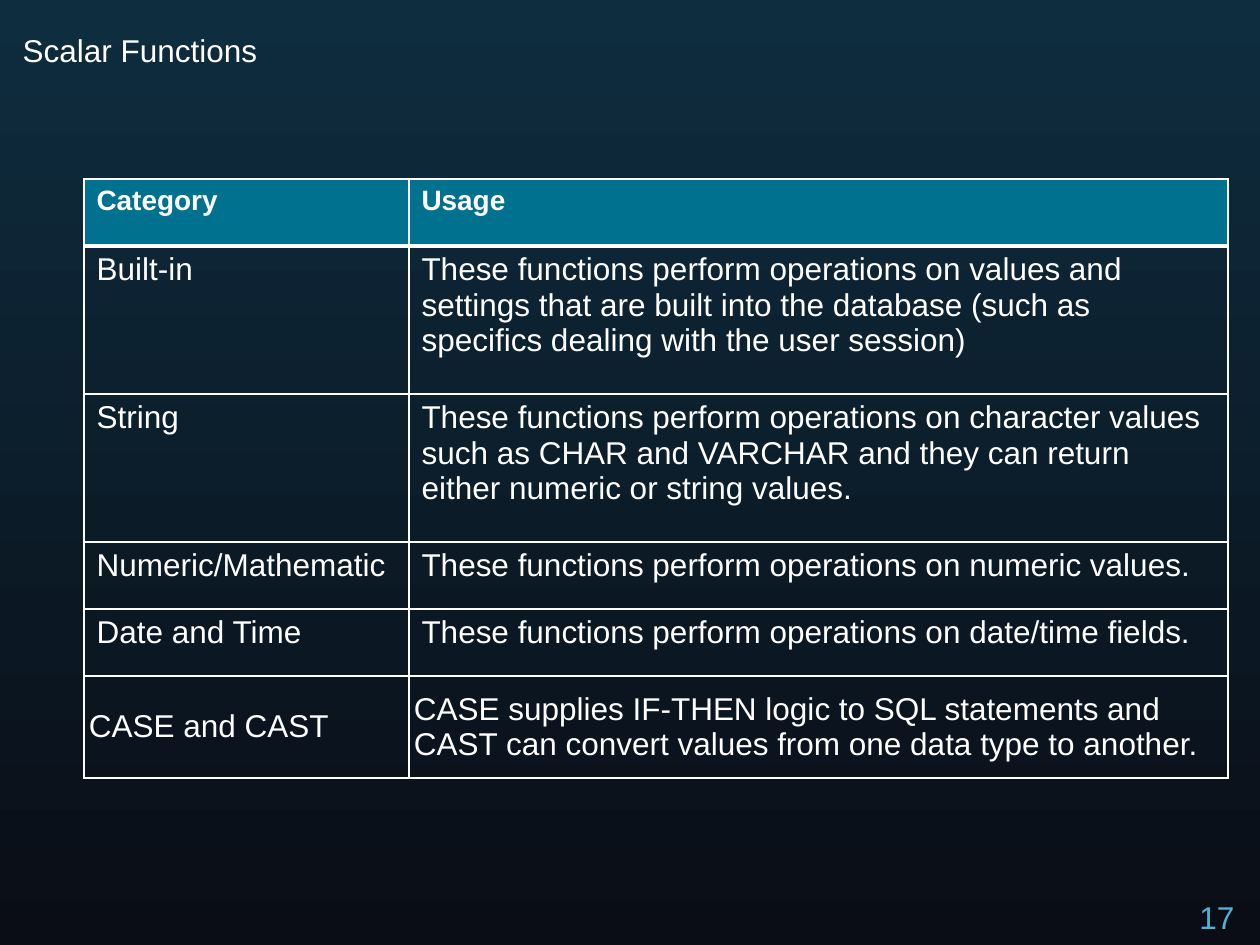
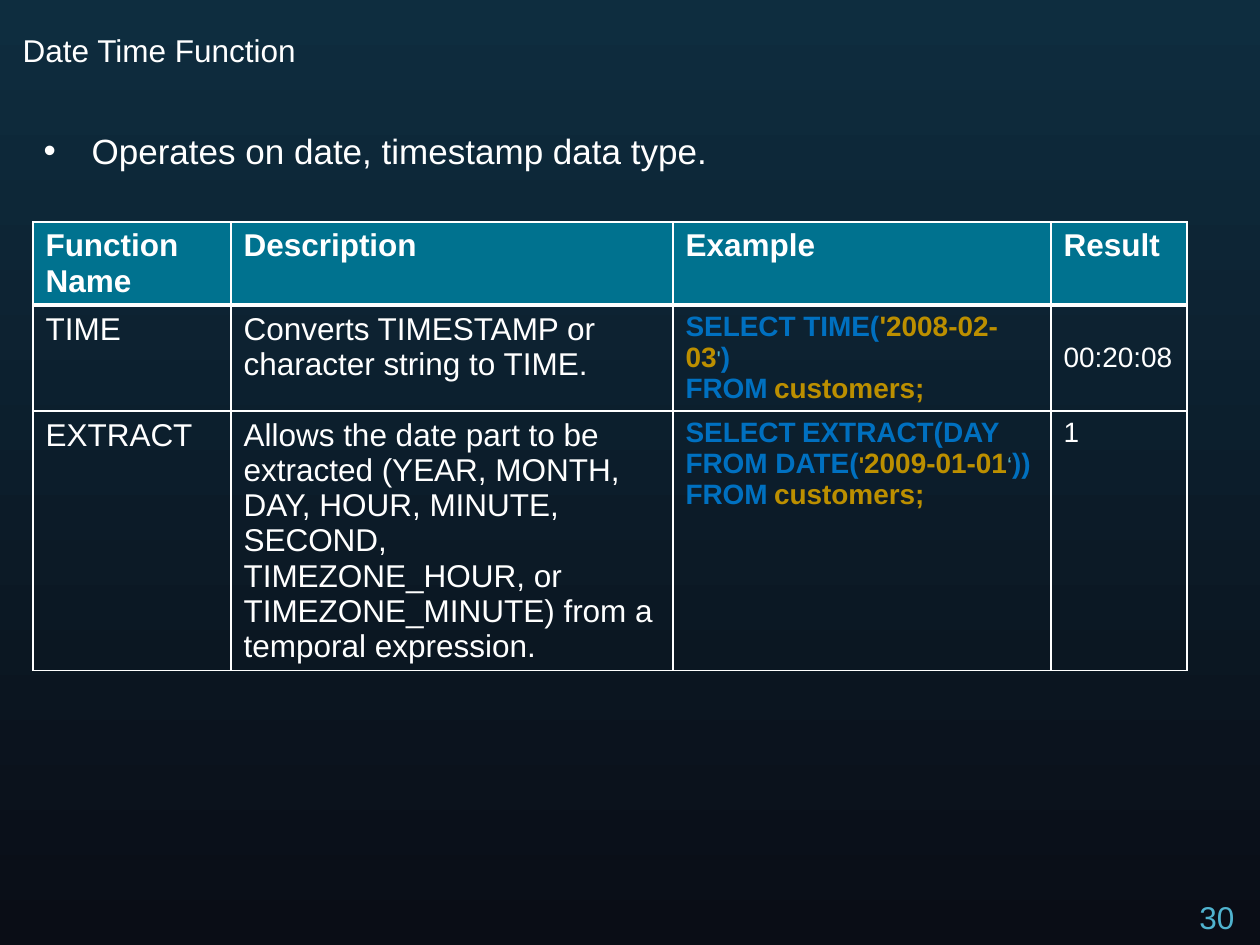
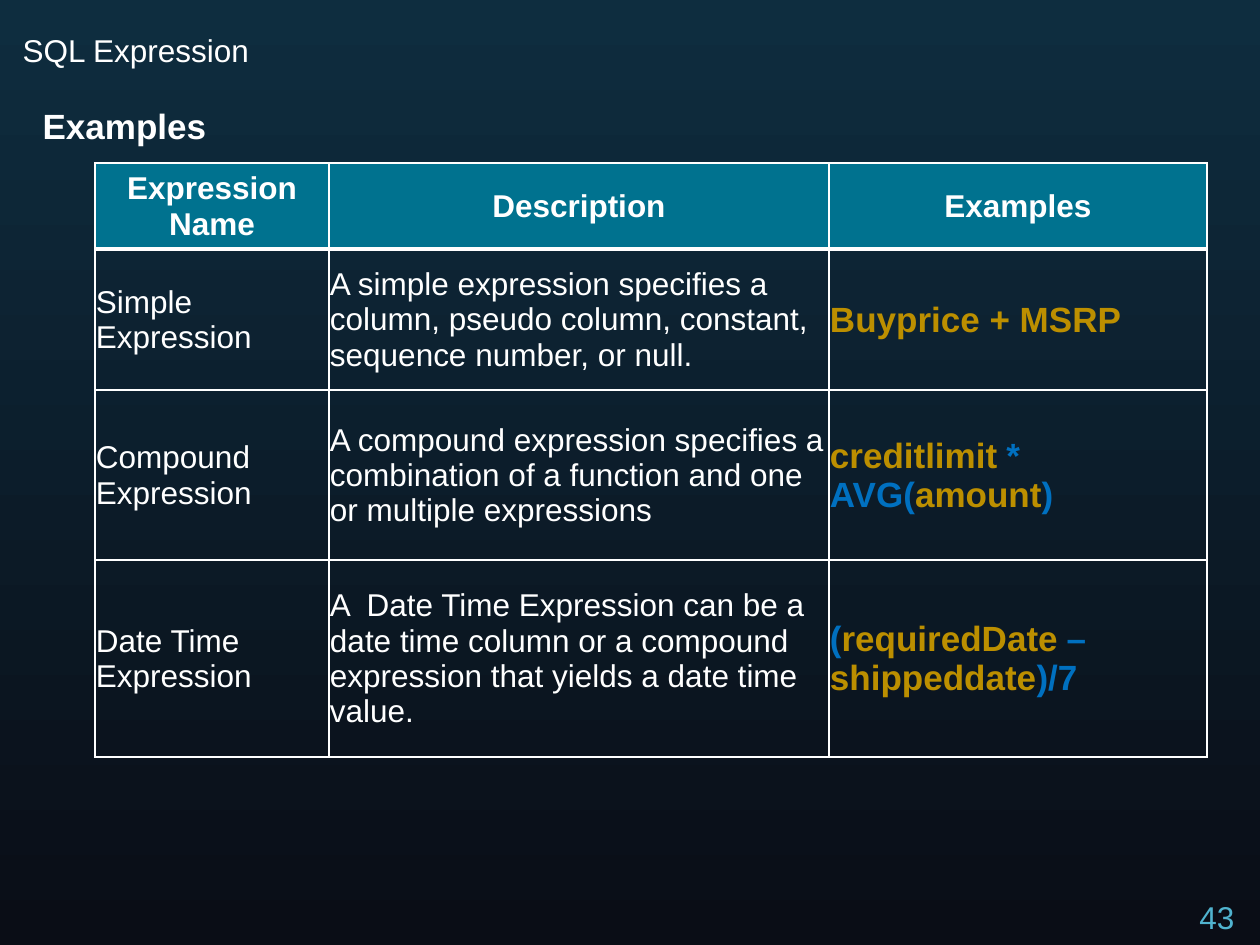
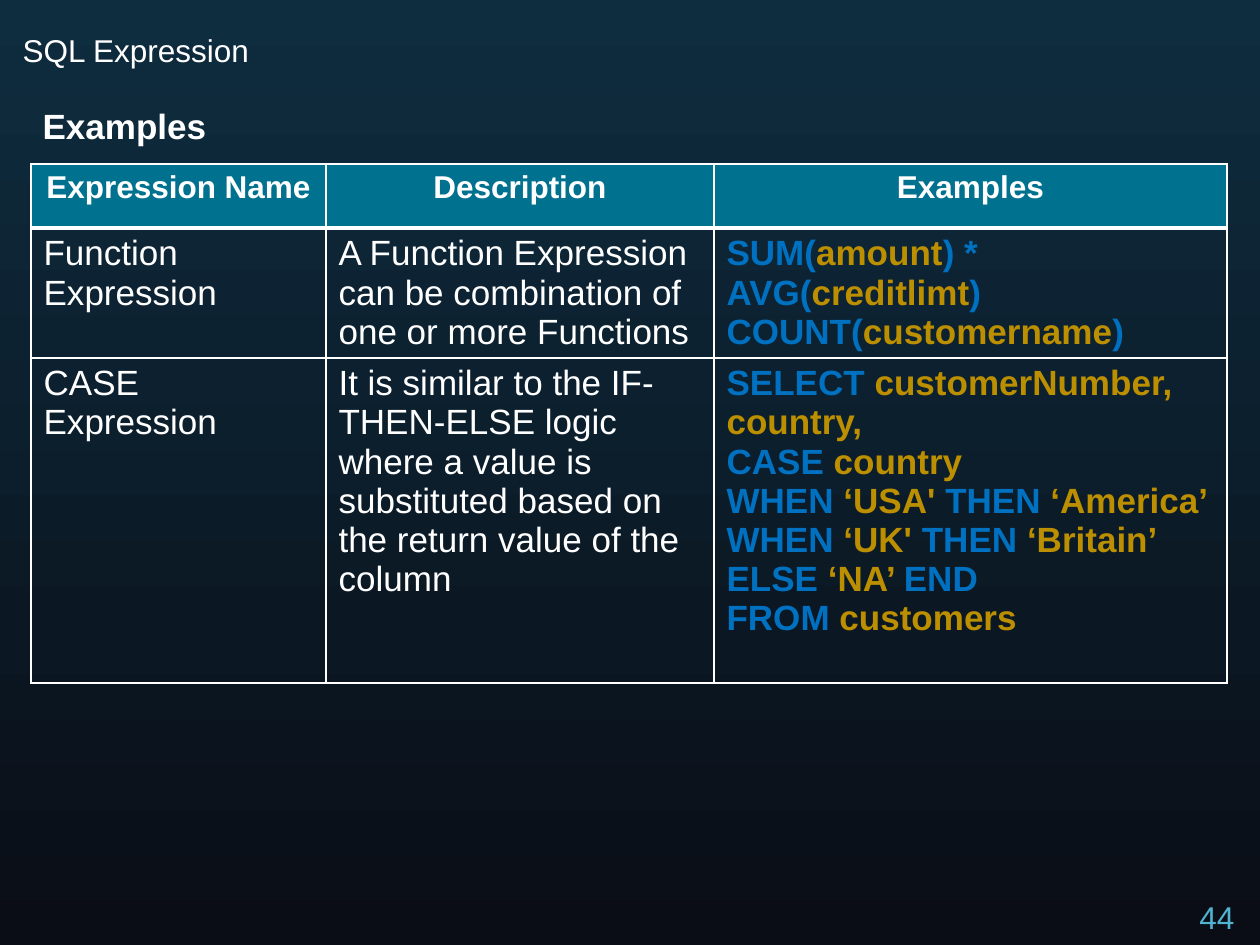
from lxml import etree
from pptx import Presentation
from pptx.dml.color import RGBColor
from pptx.enum.text import MSO_ANCHOR, MSO_AUTO_SIZE, PP_ALIGN
from pptx.oxml.ns import qn
from pptx.util import Emu, Pt

TOP, MIDDLE = MSO_ANCHOR.TOP, MSO_ANCHOR.MIDDLE
LEFT, CENTER = PP_ALIGN.LEFT, PP_ALIGN.CENTER
NO_FIT = MSO_AUTO_SIZE.NONE

SKY = RGBColor(0x0E, 0x2D, 0x3F)
NIGHT = RGBColor(0x0A, 0x0D, 0x16)
WHITE = RGBColor(0xFF, 0xFF, 0xFF)
TEAL = RGBColor(0x00, 0x72, 0x8F)
CYAN = RGBColor(0x50, 0xB3, 0xCF)
BLUE = RGBColor(0x00, 0x70, 0xC0)
GOLD = RGBColor(0xBC, 0x8F, 0x00)

FONT = "Arial"
TITLE_ONLY, TITLE_BODY = 5, 1
TITLE_BOX = (10, 25, 945, 73)
NUMBER_BOX = (1187, 892, 73, 53)
EXAMPLES_BOX = (30, 98, 1197, 69)


def px(n):
    return Emu(round(n * 914400 / 126))


def style(size, color=WHITE, bold=False):
    return {"name": FONT, "size": Pt(size), "bold": bold, "color": color}


def code(size):
    """Styles for SQL keywords and for names and values."""
    return style(size, BLUE, True), style(size, GOLD, True)


PLAIN, HEAD = style(18), style(18, bold=True)
SMALL, TINY = style(16), style(13, CYAN)
KEY16, NAME16 = code(16)
KEY20, NAME20 = code(20)
TINY_GOLD = style(13, GOLD, True)


def set_format(font, fmt):
    for name, value in fmt.items():
        if name == "color":
            font.color.rgb = value
        else:
            setattr(font, name, value)


def write(tf, content, fmt, align=LEFT):
    """Content is a string, or a list of lines made of (text, style) runs."""
    lines = [[(content, fmt)]] if isinstance(content, str) else content
    for i, line in enumerate(lines):
        p = tf.add_paragraph() if i else tf.paragraphs[0]
        p.alignment = align
        for text, run_fmt in line:
            r = p.add_run()
            r.text = text
            set_format(r.font, run_fmt)


def place(sp, box, text, fmt):
    sp.left, sp.top, sp.width, sp.height = map(px, box)
    tf = sp.text_frame
    tf.word_wrap, tf.auto_size, tf.vertical_anchor = True, NO_FIT, TOP
    write(tf, text, fmt)


def add_slide(prs, layout, title, number):
    slide = prs.slides.add_slide(prs.slide_layouts[layout])
    place(slide.shapes.title, TITLE_BOX, title, PLAIN)
    place(slide.shapes.add_textbox(0, 0, 0, 0), NUMBER_BOX, str(number), style(18, CYAN))
    return slide


def add_body(slide, box, text, fmt, indent=0):
    """A body line, with a bullet when it has an indent."""
    sp = slide.placeholders[1]
    place(sp, box, text, fmt)
    pPr = sp.text_frame.paragraphs[0]._p.get_or_add_pPr()
    pPr.set("marL", str(px(indent)))
    pPr.set("indent", str(-px(indent)))
    if not indent:
        etree.SubElement(pPr, qn("a:buNone"))


def set_borders(cell, widths):
    tcPr = cell._tc.get_or_add_tcPr()
    for i, (side, width) in enumerate(widths.items()):
        ln = etree.Element(qn(f"a:ln{side}"), w=str(Pt(width)))
        fill = etree.SubElement(ln, qn("a:solidFill"))
        etree.SubElement(fill, qn("a:srgbClr"), val=str(WHITE))
        tcPr.insert(i, ln)


def set_inset(cell, anchor, inset, bottom):
    cell.vertical_anchor = anchor
    cell.margin_left = cell.margin_right = cell.margin_top = px(inset)
    cell.margin_bottom = px(bottom)


def add_grid(slide, box, cols, rows, cells, head=HEAD, body=PLAIN, head_align=LEFT):
    x, y, height = box
    frame = slide.shapes.add_table(len(rows), len(cols), px(x), px(y), px(sum(cols)), px(height))
    table = frame.table
    table.first_row = table.horz_banding = False
    for col, width in zip(table.columns, cols):
        col.width = px(width)
    for row, row_height in zip(table.rows, rows):
        row.height = px(row_height)
    frame.height = px(height)
    for i, texts in enumerate(cells):
        for j, text in enumerate(texts):
            cell = table.cell(i, j)
            if i == 0:
                cell.fill.solid()
                cell.fill.fore_color.rgb = TEAL
                write(cell.text_frame, text, head, head_align)
            else:
                cell.fill.background()
                write(cell.text_frame, text, body)
            set_borders(cell, {"L": 1, "R": 1, "T": 3 if i == 1 else 1, "B": 3 if i == 0 else 1})
    return table


def scalar_functions(prs):
    slide = add_slide(prs, TITLE_ONLY, "Scalar Functions", 17)
    cells = [
        ["Category", "Usage"],
        ["Built-in", "These functions perform operations on values and settings that are built "
                     "into the database (such as specifics dealing with the user session)"],
        ["String", "These functions perform operations on character values such as CHAR and "
                   "VARCHAR and they can return either numeric or string values."],
        ["Numeric/Mathematic", "These functions perform operations on numeric values."],
        ["Date and Time", "These functions perform operations on date/time fields."],
        ["CASE and CAST", "CASE supplies IF-THEN logic to SQL statements and CAST can convert "
                          "values from one data type to another."],
    ]
    table = add_grid(slide, (84, 179, 599), (325, 819), (67, 148, 148, 67, 67, 102), cells,
                     head=style(16, bold=True))
    for cell in table.rows[5].cells:
        set_inset(cell, MIDDLE, 5, 5)


def date_time_function(prs):
    slide = add_slide(prs, TITLE_BODY, "Date Time Function", 30)
    add_body(slide, (31, 123, 1134, 73), "Operates on date, timestamp data type.", style(20), 48)
    from_customers = [("FROM", KEY16), (" ", TINY), ("customers;", NAME16)]
    time_sql = [
        [("SELECT TIME(", KEY16), ("'2008-02-03", NAME16), ("'", TINY), (")", KEY16)],
        from_customers,
    ]
    extract_sql = [[
        ("SELECT", KEY16), (" ", TINY), ("EXTRACT(DAY FROM DATE(", KEY16), ("'", TINY_GOLD),
        ("2009-01-01", NAME16), ("‘", TINY), (")) ", KEY16), *from_customers,
    ]]
    cells = [
        ["Function Name", "Description", "Example", "Result"],
        ["TIME", "Converts TIMESTAMP or character string to TIME.", time_sql,
         [[("00:20:08", SMALL)]]],
        ["EXTRACT", "Allows the date part to be extracted (YEAR, MONTH, DAY, HOUR, MINUTE, SECOND, "
                    "TIMEZONE_HOUR, or TIMEZONE_MINUTE) from a temporal expression.",
         extract_sql, [[("1", SMALL)]]],
    ]
    table = add_grid(slide, (33, 222, 479), (198, 442, 378, 136), (30, 73, 73), cells)
    table.cell(1, 3).vertical_anchor = MIDDLE


def expression_slide(prs, number, *grid, **formats):
    slide = add_slide(prs, TITLE_BODY, "SQL Expression", number)
    add_body(slide, EXAMPLES_BOX, "Examples", style(20, bold=True))
    return add_grid(slide, *grid, head_align=CENTER, **formats)


def basic_expressions(prs):
    compound = [[
        ("creditlimit", NAME20), (" ", PLAIN), ("*", KEY20), (" ", PLAIN),
        ("AVG(", KEY20), ("amount", NAME20), (")", KEY20),
    ]]
    date_time = [[
        ("(", KEY20), ("requiredDate", NAME20), (" ", PLAIN), ("–", KEY20),
        ("shippeddate", NAME20), (")/7", KEY20),
    ]]
    cells = [
        ["Expression Name", "Description", "Examples"],
        ["Simple Expression", "A simple expression specifies a column, pseudo column, constant, "
                              "sequence number, or null.", [[("Buyprice + MSRP", NAME20)]]],
        ["Compound Expression", "A compound expression specifies a combination of a function and "
                                "one or multiple expressions", compound],
        ["Date Time Expression", "A  Date Time Expression can be a date time column or a compound "
                                 "expression that yields a date time value.", date_time],
    ]
    table = expression_slide(prs, 43, (95, 163, 594), (234, 500, 378), (86, 141, 170, 197), cells)
    for cell in table.iter_cells():
        set_inset(cell, MIDDLE, 1, 0)


def function_and_case(prs):
    functions = [
        [("SUM(", KEY20), ("amount", NAME20), (") * AVG(", KEY20), ("creditlimt", NAME20),
         (")", KEY20)],
        [("COUNT(", KEY20), ("customername", NAME20), (")", KEY20)],
    ]
    case_sql = [
        [("SELECT ", KEY20), ("customerNumber, country,", NAME20)],
        [("CASE ", KEY20), ("country", NAME20)],
        *([("WHEN", KEY20), (f" ‘{short}' ", NAME20), ("THEN", KEY20), (f" ‘{full}’", NAME20)]
          for short, full in (("USA", "America"), ("UK", "Britain"))),
        [("ELSE", KEY20), (" ‘NA’ ", NAME20), ("END", KEY20)],
        [("FROM", KEY20), (" customers", NAME20)],
    ]
    cells = [
        ["Expression Name", "Description", "Examples"],
        ["Function Expression", "A Function Expression can be combination of one or more Functions",
         functions],
        ["CASE Expression", "It is similar to the IF-THEN-ELSE logic where a value is substituted "
                            "based on the return value of the column", case_sql],
    ]
    expression_slide(prs, 44, (31, 164, 552), (295, 388, 513), (64, 130, 325), cells,
                     body=style(20))


def set_background(master):
    fill = master.background.fill
    fill.gradient()
    fill.gradient_angle = 270
    for stop, color, position in zip(fill.gradient_stops, (SKY, NIGHT), (0, 1)):
        stop.color.rgb = color
        stop.position = position


def main():
    prs = Presentation()
    prs.slide_width, prs.slide_height = px(1260), px(945)
    set_background(prs.slide_master)
    for build in (scalar_functions, date_time_function, basic_expressions, function_and_case):
        build(prs)
    prs.save("out.pptx")


if __name__ == "__main__":
    main()
